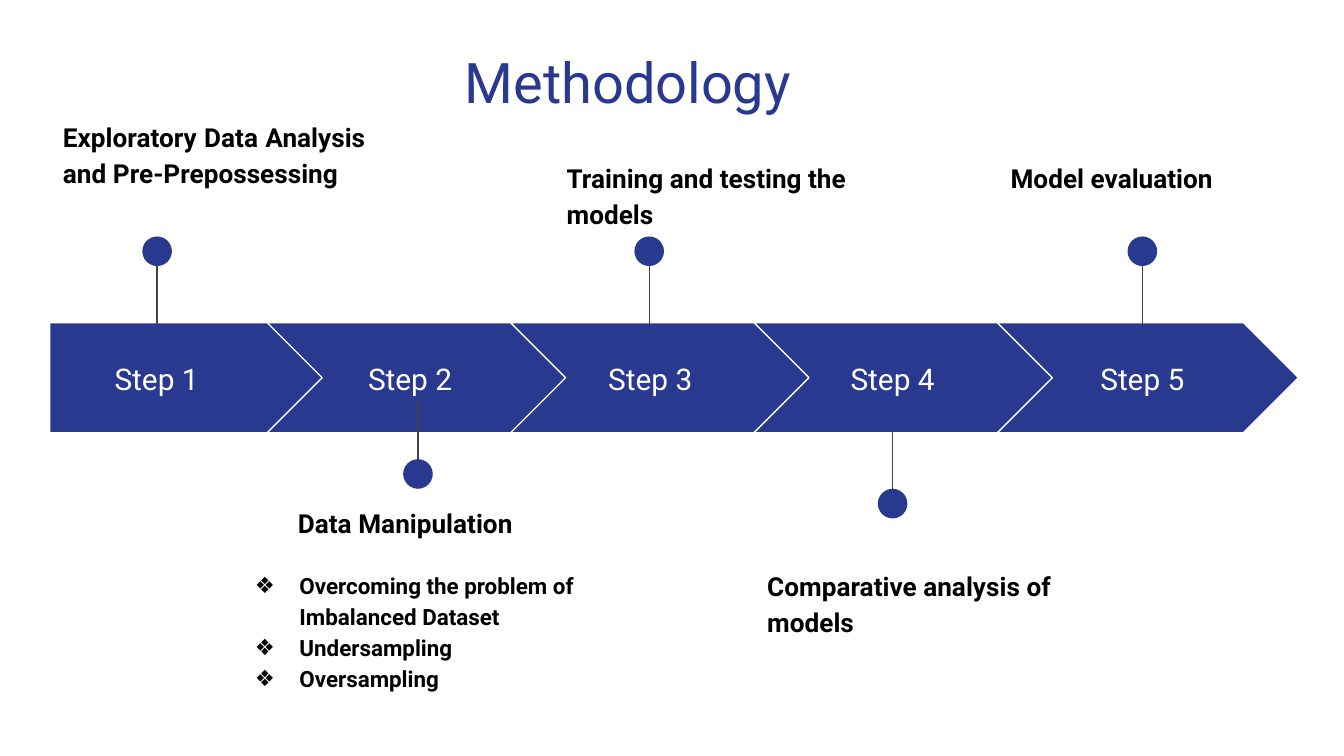
from lxml import etree
from pptx import Presentation
from pptx.dml.color import RGBColor
from pptx.enum import shapes, text
from pptx.oxml import ns
from pptx.util import Cm, Pt

NAVY = RGBColor(0x2A, 0x39, 0x90)
GREY = RGBColor(0x43, 0x43, 0x43)
WHITE = RGBColor(0xFF, 0xFF, 0xFF)
BLACK = RGBColor(0x00, 0x00, 0x00)
FONT = "Roboto"

TOP, HIGH = 6.1, 2.08       # arrow band
FIRST, PITCH = 5.05, 4.6    # left of first chevron, step between chevrons
STEM, DOT = 1.55, 0.56      # pin sizes

NOTE = {"size": Pt(14), "bold": True}
ITEM = {"size": Pt(12), "bold": True}
STEP = {"size": Pt(16)}
HEAD = {"size": Pt(30)}


def set_all(obj, vals):
    for key, val in vals.items():
        setattr(obj, key, val)


def add_box(slide, box, paras, color=BLACK, anchor=text.MSO_ANCHOR.TOP):
    """Text box; each paragraph is (words, font values, paragraph values)."""
    frame = slide.shapes.add_textbox(*map(Cm, box)).text_frame
    edges = ("left", "right", "top", "bottom")
    set_all(frame, {f"margin_{edge}": Cm(0.25) for edge in edges})
    set_all(frame, {"word_wrap": True, "vertical_anchor": anchor})
    for num, (words, font, form) in enumerate(paras):
        para = frame.add_paragraph() if num else frame.paragraphs[0]
        set_all(para, form)
        run = para.add_run()
        run.text = words
        set_all(run.font, {"name": FONT, **font})
        run.font.color.rgb = color
    return frame


def indent(para, left, first=0):
    props = para._p.get_or_add_pPr()
    props.set("marL", str(Cm(left)))
    props.set("indent", str(Cm(first)))
    return props


def add_bullet(para):
    props = indent(para, 1.27, -0.84)
    tint = etree.SubElement(props, ns.qn("a:buClr"))
    etree.SubElement(tint, ns.qn("a:srgbClr"), val=str(BLACK))
    etree.SubElement(props, ns.qn("a:buFont"), typeface=FONT)
    etree.SubElement(props, ns.qn("a:buChar"), char="❖")


def add_solid(slide, kind, box):
    shape = slide.shapes.add_shape(kind, *map(Cm, box))
    shape.shadow.inherit = False
    shape.fill.solid()
    shape.fill.fore_color.rgb = NAVY
    shape.line.fill.background()
    return shape


def add_arrow(slide, kind, box, label, left, width):
    """One band segment with its step label."""
    shape = add_solid(slide, kind, box)
    shape.adjustments[0] = 0.5
    shape.line.color.rgb = WHITE
    shape.line.width = Pt(0.75)
    add_box(slide, (left, 6.5, width, 1.3),
            [(label, STEP, {"alignment": text.PP_ALIGN.CENTER})],
            WHITE, text.MSO_ANCHOR.MIDDLE)


def add_pin(slide, mid, foot, side):
    """Stem from the band with a dot at its end; side is -1 up, 1 down."""
    end = foot + side * STEM
    stem = slide.shapes.add_connector(
        shapes.MSO_CONNECTOR.STRAIGHT, Cm(mid), Cm(end), Cm(mid), Cm(foot))
    stem.line.color.rgb = GREY
    stem.line.width = Pt(0.75)
    etree.SubElement(stem._element.spPr, ns.qn("a:effectLst"))
    hub = end - side * 0.18
    add_solid(slide, shapes.MSO_SHAPE.OVAL,
              (mid - DOT / 2, hub - DOT / 2, DOT, DOT))


def add_note(slide, box, words, **form):
    add_box(slide, box, [(words, NOTE, {"line_spacing": 1.15, **form})])


def add_list(slide, box, title, items):
    """Heading with bulleted lines below it."""
    paras = [(title, NOTE, {"line_spacing": 1.15})]
    for num, item in enumerate(items):
        gap = Pt(0 if num else 16)
        paras.append((item, ITEM, {"line_spacing": 1.15, "space_before": gap}))
    head, *rest = add_box(slide, box, paras).paragraphs
    indent(head, 1.24)
    for para in rest:
        add_bullet(para)


def add_band(slide):
    # Label left and width, pin centre, pin foot, pin side
    steps = [
        (0.94, 4.04, 2.97, 6.12, -1),
        (5.92, 3.66, 7.9, 7.59, 1),
        (10.46, 3.66, 12.27, 6.12, -1),
        (15.04, 3.66, 16.87, 8.15, 1),
        (19.76, 3.66, 21.59, 6.12, -1),
    ]
    for num, (left, width, mid, foot, side) in enumerate(steps):
        if num:
            kind = shapes.MSO_SHAPE.CHEVRON
            box = (FIRST + (num - 1) * PITCH, TOP, 5.69, HIGH)
        else:
            kind = shapes.MSO_SHAPE.PENTAGON
            box = (0.94, TOP, 5.21, HIGH)
        add_arrow(slide, kind, box, f"Step {num + 1}", left, width)
        add_pin(slide, mid, foot, side)


def add_notes(slide):
    size = (6.22, 2.51)
    add_note(slide, (0.94, 1.96, *size),
             "Exploratory Data Analysis and Pre-Prepossessing",
             alignment=text.PP_ALIGN.JUSTIFY,
             space_before=Pt(12), space_after=Pt(12))
    add_list(slide, (4.14, 9.25, 7.49, 4.42), "Data Manipulation",
             ["Overcoming the problem of Imbalanced Dataset",
              "Undersampling", "Oversampling"])
    add_note(slide, (10.46, 2.74, *size), "Training and testing the models")
    add_note(slide, (14.25, 10.44, *size), "Comparative analysis of models")
    add_note(slide, (18.85, 2.74, *size), "Model evaluation")


def main():
    deck = Presentation()
    set_all(deck, {"slide_width": Cm(25.4), "slide_height": Cm(14.29)})
    slide = deck.slides.add_slide(deck.slide_layouts[6])
    add_band(slide)
    add_notes(slide)
    add_box(slide, (8.53, 0.64, 8.33, 1.8), [("Methodology", HEAD, {})], NAVY)
    deck.save("out.pptx")


if __name__ == "__main__":
    main()
